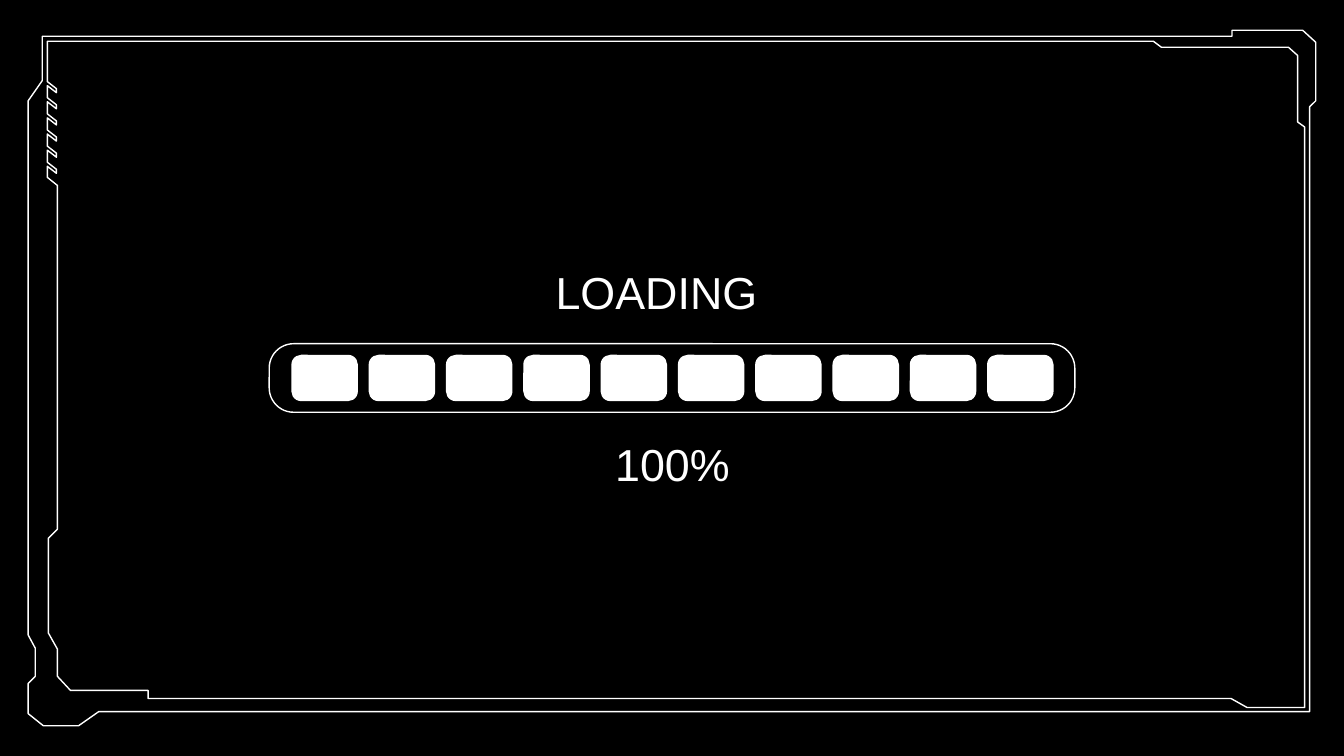
from dataclasses import dataclass

from pptx import Presentation
from pptx.dml.color import RGBColor
from pptx.enum.shapes import MSO_SHAPE
from pptx.enum.text import MSO_ANCHOR, MSO_AUTO_SIZE, PP_ALIGN
from pptx.shapes.autoshape import Shape
from pptx.slide import Slide
from pptx.util import Inches, Pt

# One grid step; every column and row below counts these steps
STEP = Inches(0.01)
COLUMNS, ROWS = 1333, 750
Point = tuple[int, int]


@dataclass(frozen=True)
class Theme:
    background: RGBColor = RGBColor(0x00, 0x00, 0x00)
    foreground: RGBColor = RGBColor(0xFF, 0xFF, 0xFF)
    font: str = "Arial"
    text_size: Pt = Pt(32)
    line_width: Pt = Pt(1)


@dataclass(frozen=True)
class Area:
    column: float
    row: float
    columns: float
    rows: float

    def lengths(self) -> tuple[int, int, int, int]:
        return tuple(round(steps * STEP) for steps in
                     (self.column, self.row, self.columns, self.rows))


@dataclass(frozen=True)
class RoundedBox:
    area: Area
    rounding: float
    filled: bool


THEME = Theme()

# Frame outlines
OUTER_EDGE: list[Point] = [
    (42, 80), (28, 100), (28, 630), (35, 643), (35, 671), (28, 678),
    (28, 708), (43, 720), (78, 720), (98, 706), (1299, 706), (1299, 106),
    (1305, 100), (1305, 42), (1292, 30), (1222, 30), (1222, 36), (42, 36),
]
NOTCH_COUNT, NOTCH_TOP, NOTCH_PITCH = 6, 81, 16
NOTCH: list[Point] = [(47, 0), (56, 7), (56, 11), (47, 4)]
NOTCHES: list[Point] = [
    (column, NOTCH_TOP + index * NOTCH_PITCH + row)
    for index in range(NOTCH_COUNT) for column, row in NOTCH
]
INNER_EDGE: list[Point] = [
    (1144, 41), (47, 41), *NOTCHES, (47, 176), (57, 184), (57, 525),
    (48, 534), (48, 628), (57, 644), (57, 671), (70, 685), (147, 685),
    (147, 693), (1221, 693), (1237, 702), (1294, 702), (1294, 126),
    (1287, 121), (1287, 55), (1278, 47), (1152, 47),
]

# Progress bar
CELL_COUNT, CELL_PITCH = 10, 76.67
TRACK = RoundedBox(Area(267, 341, 799, 68), 0.356, filled=False)
CELLS = [
    RoundedBox(Area(289 + index * CELL_PITCH, 352, 66, 46), 0.213, filled=True)
    for index in range(CELL_COUNT)
]

# Text areas
TITLE_AREA = Area(541, 258, 251, 64)
PERCENT_AREA = Area(589, 428, 156, 64)


def outline(shape: Shape) -> None:
    shape.shadow.inherit = False
    shape.fill.background()
    shape.line.color.rgb = THEME.foreground
    shape.line.width = THEME.line_width


def draw_frame(page: Slide) -> None:
    builder = page.shapes.build_freeform(*OUTER_EDGE[0], scale=STEP)
    builder.add_line_segments(OUTER_EDGE[1:], close=True)
    builder.move_to(*INNER_EDGE[0])
    builder.add_line_segments(INNER_EDGE[1:], close=True)
    outline(builder.convert_to_shape())


def draw_rounded_box(page: Slide, item: RoundedBox) -> None:
    box = page.shapes.add_shape(MSO_SHAPE.ROUNDED_RECTANGLE, *item.area.lengths())
    box.adjustments[0] = item.rounding
    outline(box)
    if item.filled:
        box.fill.solid()
        box.fill.fore_color.rgb = THEME.foreground
        box.line.fill.background()


def write_text(box: Shape, area: Area, text: str, alignment: PP_ALIGN) -> None:
    box.left, box.top, box.width, box.height = area.lengths()
    frame = box.text_frame
    frame.text = text
    frame.word_wrap = True
    frame.auto_size = MSO_AUTO_SIZE.NONE
    frame.vertical_anchor = MSO_ANCHOR.TOP
    para = frame.paragraphs[0]
    para.alignment = alignment
    para.font.name = THEME.font
    para.font.size = THEME.text_size
    para.font.color.rgb = THEME.foreground


def main() -> None:
    deck = Presentation()
    deck.slide_width, deck.slide_height = COLUMNS * STEP, ROWS * STEP
    page = deck.slides.add_slide(deck.slide_layouts.get_by_name("Title Only"))
    page.background.fill.solid()
    page.background.fill.fore_color.rgb = THEME.background

    # Decorative frame, then the bar
    draw_frame(page)
    for item in [*CELLS, TRACK]:
        draw_rounded_box(page, item)

    # Title above the bar, percentage below it
    write_text(page.shapes.title, TITLE_AREA, "LOADING", PP_ALIGN.LEFT)
    percent_box = page.shapes.add_textbox(*PERCENT_AREA.lengths())
    write_text(percent_box, PERCENT_AREA, "100%", PP_ALIGN.CENTER)

    deck.save("out.pptx")


if __name__ == "__main__":
    main()
